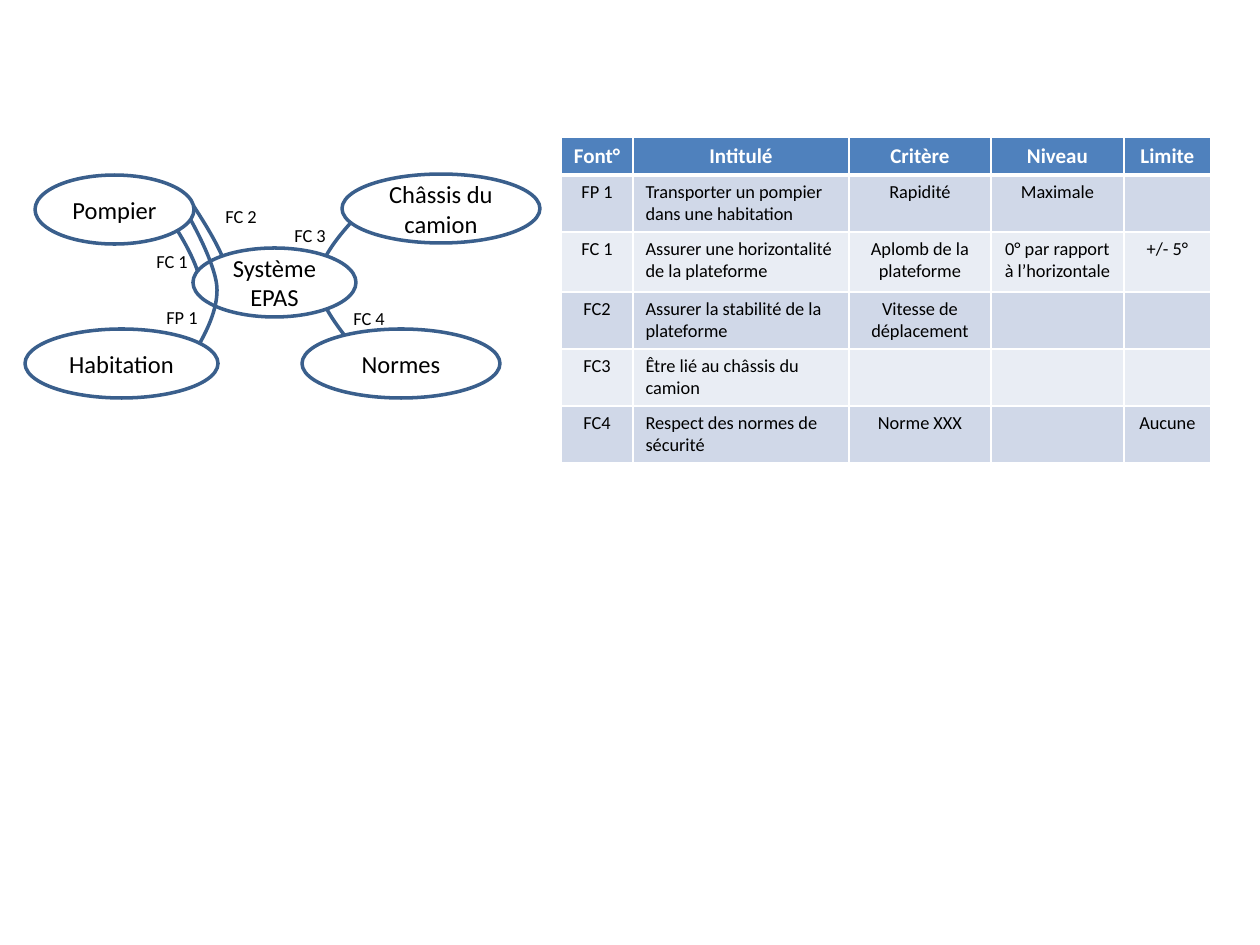
from lxml.etree import SubElement
from pptx import Presentation
from pptx.dml.color import RGBColor
from pptx.enum.shapes import MSO_SHAPE
from pptx.enum.text import MSO_ANCHOR, PP_ALIGN
from pptx.oxml.ns import qn
from pptx.util import Emu, Pt

PX = 914400 // 126
THEME = {
    "font": "Calibri",
    "outline": RGBColor.from_string("3A5F8C"),
    "white": RGBColor.from_string("FFFFFF"),
    "black": RGBColor.from_string("000000"),
    "header": RGBColor.from_string("4F81BD"),
    "bands": [RGBColor.from_string("D0D8E8"), RGBColor.from_string("E9EDF4")],
    "node_size": Pt(14),
    "header_size": Pt(12),
    "small_size": Pt(10.5),
    "outline_width": Pt(2),
}


def write(text_frame, text, size, color, alignment, bold=False):
    paragraph = text_frame.paragraphs[0]
    paragraph.text = text
    paragraph.alignment = alignment
    paragraph.font.name = THEME["font"]
    paragraph.font.size = size
    paragraph.font.bold = bold
    paragraph.font.color.rgb = color


def add_border(cell, side, points):
    line = SubElement(cell._tc.get_or_add_tcPr(), qn(f"a:ln{side}"), w=str(Pt(points)))
    fill = SubElement(line, qn("a:solidFill"))
    SubElement(fill, qn("a:srgbClr"), val=str(THEME["white"]))


presentation = Presentation()
presentation.slide_width = Emu(1260 * PX)
presentation.slide_height = Emu(945 * PX)
slide = presentation.slides.add_slide(presentation.slide_layouts[6])
shapes = slide.shapes

chassis_normes = [(368, 204), (343, 231), (318, 257), (318, 284),
                  (318, 310), (368, 363), (368, 363)]
pompier_systeme_right = [(193, 205), (213, 236), (232, 267), (232, 297)]
pompier_systeme_left = [(163, 208), (183, 238), (203, 270), (203, 300)]
habitation_pompier = [(188, 363), (203, 339), (217, 314), (217, 290),
                      (217, 265), (188, 215), (188, 215)]

elements = [
    ("curve", chassis_normes),
    ("curve", pompier_systeme_right),
    ("curve", pompier_systeme_left),
    ("Système EPAS", (193, 248, 163, 69)),
    ("Normes", (302, 329, 198, 69)),
    ("Châssis du camion", (342, 174, 198, 69)),
    ("curve", habitation_pompier),
    ("Habitation", (25, 329, 193, 69)),
    ("Pompier", (35, 175, 159, 69)),
]
for name, geometry in elements:
    if name == "curve":
        builder = shapes.build_freeform(*geometry[0], scale=PX)
        builder.add_line_segments(geometry[1:], close=False)
        shape = builder.convert_to_shape()
        segments = list(shape._element.iter(qn("a:lnTo")))
        outline = segments[0].getparent()
        for start in range(0, len(segments), 3):
            bezier = SubElement(outline, qn("a:cubicBezTo"))
            for segment in segments[start:start + 3]:
                bezier.append(segment[0])
                outline.remove(segment)
        shape.fill.background()
    else:
        shape = shapes.add_shape(MSO_SHAPE.OVAL, *(value * PX for value in geometry))
        shape.fill.solid()
        shape.fill.fore_color.rgb = THEME["white"]
        shape.text_frame.word_wrap = True
        shape.text_frame.vertical_anchor = MSO_ANCHOR.MIDDLE
        write(shape.text_frame, name, THEME["node_size"], THEME["black"], PP_ALIGN.CENTER)
    shape.line.color.rgb = THEME["outline"]
    shape.line.width = THEME["outline_width"]
    shape.shadow.inherit = False

labels = [("FC 1", 144, 244), ("FP 1", 154, 300), ("FC 2", 213, 199),
          ("FC 3", 282, 218), ("FC 4", 341, 301)]
for text, left, top in labels:
    label = shapes.add_textbox(left * PX, top * PX, 170 * PX, 35 * PX)
    label.text_frame.word_wrap = True
    write(label.text_frame, text, THEME["small_size"], THEME["black"], PP_ALIGN.LEFT)

rows = [
    ("Font°", "Intitulé", "Critère", "Niveau", "Limite"),
    ("FP 1", "Transporter un pompier dans une habitation", "Rapidité", "Maximale", ""),
    ("FC 1", "Assurer une horizontalité de la plateforme", "Aplomb de la plateforme",
     "0° par rapport à l’horizontale", "+/- 5°"),
    ("FC2", "Assurer la stabilité de la plateforme", "Vitesse de déplacement", "", ""),
    ("FC3", "Être lié au châssis du camion", "", "", ""),
    ("FC4", "Respect des normes de sécurité", "Norme XXX", "", "Aucune"),
]
column_widths = [72, 216, 142, 133, 87]
row_heights = [37, 57, 60, 57, 57, 57]
table = shapes.add_table(len(rows), len(column_widths), 561 * PX, 137 * PX,
                         sum(column_widths) * PX, sum(row_heights) * PX).table
for column, width in zip(table.columns, column_widths):
    column.width = Emu(width * PX)
for row, height in zip(table.rows, row_heights):
    row.height = Emu(height * PX)

for row_index, texts in enumerate(rows):
    is_header = row_index == 0
    for column_index, text in enumerate(texts):
        cell = table.cell(row_index, column_index)
        add_border(cell, "L", 1)
        add_border(cell, "R", 1)
        add_border(cell, "T", 3 if row_index == 1 else 1)
        add_border(cell, "B", 3 if is_header else 1)
        cell.fill.solid()
        cell.fill.fore_color.rgb = (
            THEME["header"] if is_header else THEME["bands"][(row_index - 1) % 2])
        if text:
            is_title = column_index == 1 and not is_header
            write(cell.text_frame, text,
                  THEME["header_size"] if is_header else THEME["small_size"],
                  THEME["white"] if is_header else THEME["black"],
                  PP_ALIGN.LEFT if is_title else PP_ALIGN.CENTER,
                  is_header)

presentation.save("out.pptx")
